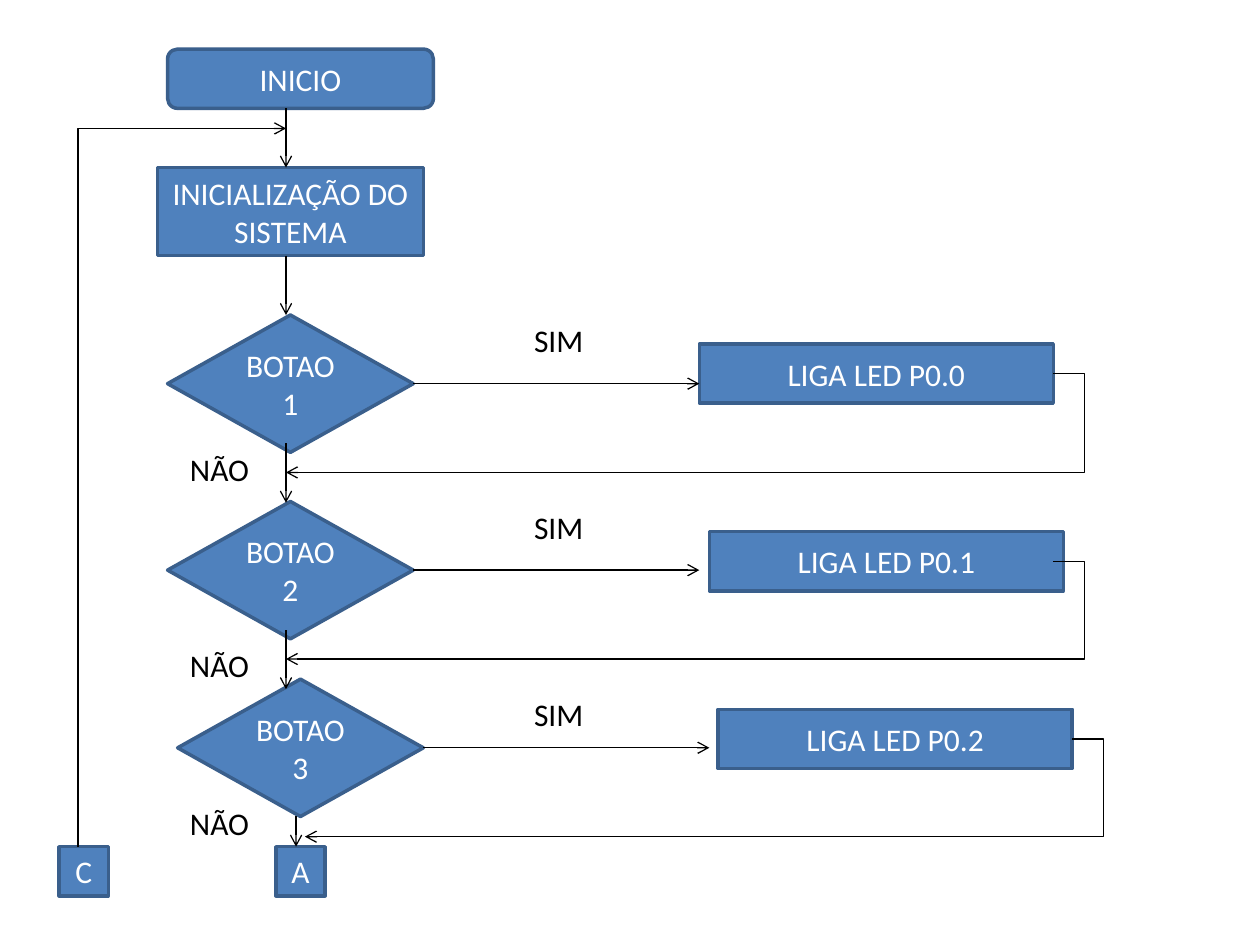
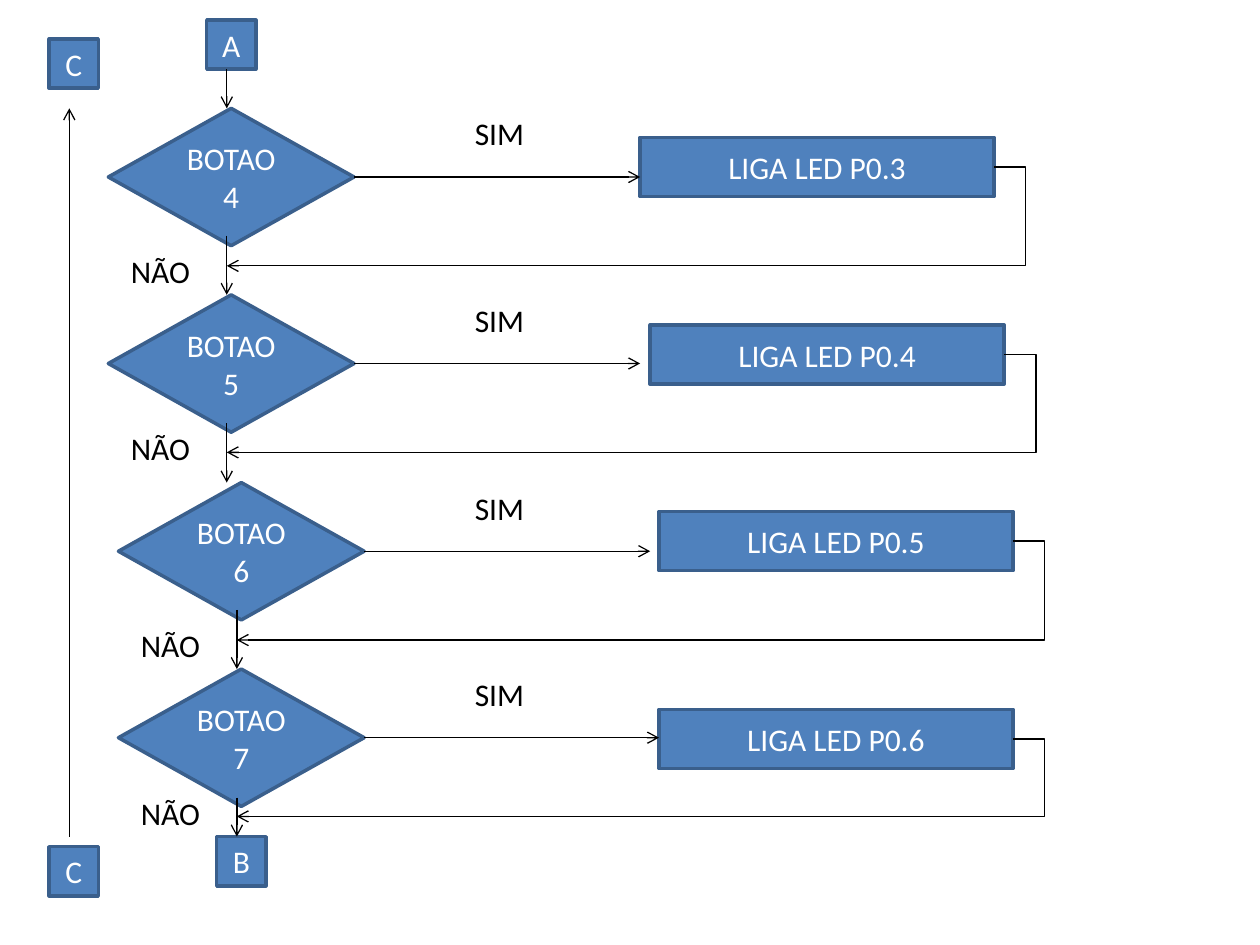
from dataclasses import dataclass

from lxml import etree
from pptx import Presentation
from pptx import util as u
from pptx.dml.color import RGBColor
from pptx.enum import shapes, text
from pptx.oxml import ns

COLORS = {"fill": "4F81BD", "outline": "3A5F8C", "light": "FFFFFF", "dark": "000000"}
FONT_NAME, FONT_SIZE = "Calibri", 18

DIAMOND_WIDTH, DIAMOND_HEIGHT = 1.95, 1.09
LED_WIDTH, LED_HEIGHT = 2.81, 0.47
MARKER_SIZE = 0.39
NO_BRANCH_OFFSET = 0.94  # from the left of a diamond to its downward arrow
RETURN_BULGE = 0.25      # how far a return line runs out to the right

Point = tuple[float, float]


@dataclass
class Box:
    label: str
    left: float
    top: float
    width: float = MARKER_SIZE
    height: float = MARKER_SIZE
    kind: shapes.MSO_SHAPE = shapes.MSO_SHAPE.RECTANGLE


@dataclass
class Decision:
    """A button test, the LED it lights and the return to the main flow."""
    number: int
    left: float
    top: float
    led_left: float
    led_top: float
    no_start: float
    no_end: float
    return_y: float
    no_label: Point
    sim_shift: float = 0
    yes_length: float = 2.27
    return_inset: float = 0
    return_shift: float = 0

    @property
    def flow_x(self) -> float:
        return self.left + NO_BRANCH_OFFSET

    def boxes(self) -> list[Box]:
        return [
            Box(f"BOTAO {self.number}", self.left, self.top,
                DIAMOND_WIDTH, DIAMOND_HEIGHT, shapes.MSO_SHAPE.DIAMOND),
            Box(f"LIGA LED P0.{self.number - 1}", self.led_left, self.led_top,
                LED_WIDTH, LED_HEIGHT),
        ]


@dataclass
class Flowchart:
    boxes: list[Box]
    decisions: list[Decision]
    arrows: list[tuple[Point, Point]]
    sim_left: float
    loop: tuple[Point, Point] | None = None


FLOWCHARTS = [
    Flowchart(
        boxes=[
            Box("INICIO", 1.33, 0.39, 2.11, 0.47, shapes.MSO_SHAPE.ROUNDED_RECTANGLE),
            Box("INICIALIZAÇÃO DO SISTEMA", 1.25, 1.33, 2.11, 0.7),
            Box("A", 2.19, 6.72),
            Box("C", 0.47, 6.72),
        ],
        decisions=[
            Decision(1, 1.33, 2.5, 5.55, 2.73, 3.52, 3.99, 3.75, (1.41, 3.52)),
            Decision(2, 1.33, 3.98, 5.63, 4.22, 5, 5.47, 5.23, (1.41, 5.08),
                     return_inset=0.08),
            Decision(3, 1.41, 5.39, 5.7, 5.63, 6.48, 6.72, 6.64, (1.41, 6.33),
                     sim_shift=0.08, return_shift=0.07),
        ],
        arrows=[((2.27, 0.86), (2.27, 1.33)), ((2.27, 2.03), (2.27, 2.5))],
        sim_left=4.14,
        loop=((0.62, 6.72), (2.27, 1.02)),
    ),
    Flowchart(
        boxes=[
            Box("A", 1.64, 0.16),
            Box("B", 1.72, 6.64),
            Box("C", 0.39, 6.72),
            Box("C", 0.39, 0.31),
        ],
        decisions=[
            Decision(4, 0.86, 0.86, 5.08, 1.09, 1.87, 2.34, 2.11, (0.94, 1.95)),
            Decision(5, 0.86, 2.34, 5.16, 2.58, 3.36, 3.83, 3.59, (0.94, 3.36)),
            Decision(6, 0.94, 3.83, 5.23, 4.06, 4.84, 5.31, 5.08, (1.02, 4.92)),
            Decision(7, 0.94, 5.31, 5.23, 5.63, 6.33, 6.64, 6.48, (1.02, 6.25),
                     yes_length=2.34),
        ],
        arrows=[((1.8, 0.55), (1.8, 0.86)), ((0.55, 6.64), (0.55, 0.86))],
        sim_left=3.67,
    ),
]


def color(name: str) -> RGBColor:
    return RGBColor.from_string(COLORS[name])


def add_run(shape, content: str, color_name: str) -> None:
    shape.text_frame.word_wrap = True
    run = shape.text_frame.paragraphs[0].add_run()
    run.text = content
    run.font.name = FONT_NAME
    run.font.size = u.Pt(FONT_SIZE)
    run.font.color.rgb = color(color_name)


def add_box(slide, box: Box) -> None:
    shape = slide.shapes.add_shape(
        box.kind, *map(u.Inches, (box.left, box.top, box.width, box.height)))
    shape.shadow.inherit = False
    shape.fill.solid()
    shape.fill.fore_color.rgb = color("fill")
    shape.line.color.rgb = color("outline")
    shape.line.width = u.Pt(2)
    shape.text_frame.vertical_anchor = text.MSO_ANCHOR.MIDDLE
    shape.text_frame.paragraphs[0].alignment = text.PP_ALIGN.CENTER
    add_run(shape, box.label, "light")


def add_label(slide, content: str, left: float, top: float) -> None:
    shape = slide.shapes.add_textbox(*map(u.Inches, (left, top, 0.7, 0.4)))
    shape.text_frame.auto_size = text.MSO_AUTO_SIZE.SHAPE_TO_FIT_TEXT
    add_run(shape, content, "dark")


def add_arrow(slide, start: Point, end: Point, bend_x: float | None = None) -> None:
    """Draw a straight arrow, or an elbow whose upright stands at bend_x."""
    kind = shapes.MSO_CONNECTOR.STRAIGHT if bend_x is None else shapes.MSO_CONNECTOR.ELBOW
    connector = slide.shapes.add_connector(kind, *map(u.Inches, (*start, *end)))
    connector.line.color.rgb = color("dark")
    connector.line.width = u.Pt(0.75)
    properties = connector.element.spPr
    line = properties.find(ns.qn("a:ln"))
    etree.SubElement(line, ns.qn("a:tailEnd"), type="arrow")
    etree.SubElement(properties, ns.qn("a:effectLst"))
    if bend_x is not None:
        ratio = round((bend_x - start[0]) / (end[0] - start[0]) * 100000)
        geometry = properties.find(ns.qn("a:prstGeom"))
        adjustments = geometry.find(ns.qn("a:avLst"))
        if adjustments is None:
            adjustments = etree.SubElement(geometry, ns.qn("a:avLst"))
        etree.SubElement(adjustments, ns.qn("a:gd"), name="adj1", fmla=f"val {ratio}")


def add_decision_arrows(slide, decision: Decision) -> None:
    # "No" goes down, "yes" goes right to the LED
    flow_x = decision.flow_x
    add_arrow(slide, (flow_x, decision.no_start), (flow_x, decision.no_end))
    right = decision.left + DIAMOND_WIDTH
    middle = decision.top + DIAMOND_HEIGHT / 2
    add_arrow(slide, (right, middle), (right + decision.yes_length, middle))
    # Return from the LED to the main flow
    return_x = decision.led_left + LED_WIDTH - decision.return_inset
    add_arrow(slide, (return_x, decision.led_top + LED_HEIGHT / 2),
              (flow_x + decision.return_shift, decision.return_y),
              return_x + RETURN_BULGE)


def draw_flowchart(slide, chart: Flowchart) -> None:
    # Boxes lie below the lines
    for box in chart.boxes:
        add_box(slide, box)
    for decision in chart.decisions:
        for box in decision.boxes():
            add_box(slide, box)

    # Arrows
    for start, end in chart.arrows:
        add_arrow(slide, start, end)
    if chart.loop:
        start, end = chart.loop
        add_arrow(slide, start, end, bend_x=start[0])
    for decision in chart.decisions:
        add_decision_arrows(slide, decision)

    # Branch labels
    for decision in chart.decisions:
        add_label(slide, "SIM", chart.sim_left, decision.top + decision.sim_shift)
        add_label(slide, "NÃO", *decision.no_label)


def main() -> None:
    presentation = Presentation()
    presentation.slide_width = u.Inches(10)
    presentation.slide_height = u.Inches(7.5)
    blank_layout = presentation.slide_layouts[6]
    for chart in FLOWCHARTS:
        draw_flowchart(presentation.slides.add_slide(blank_layout), chart)
    presentation.save("out.pptx")


if __name__ == "__main__":
    main()
